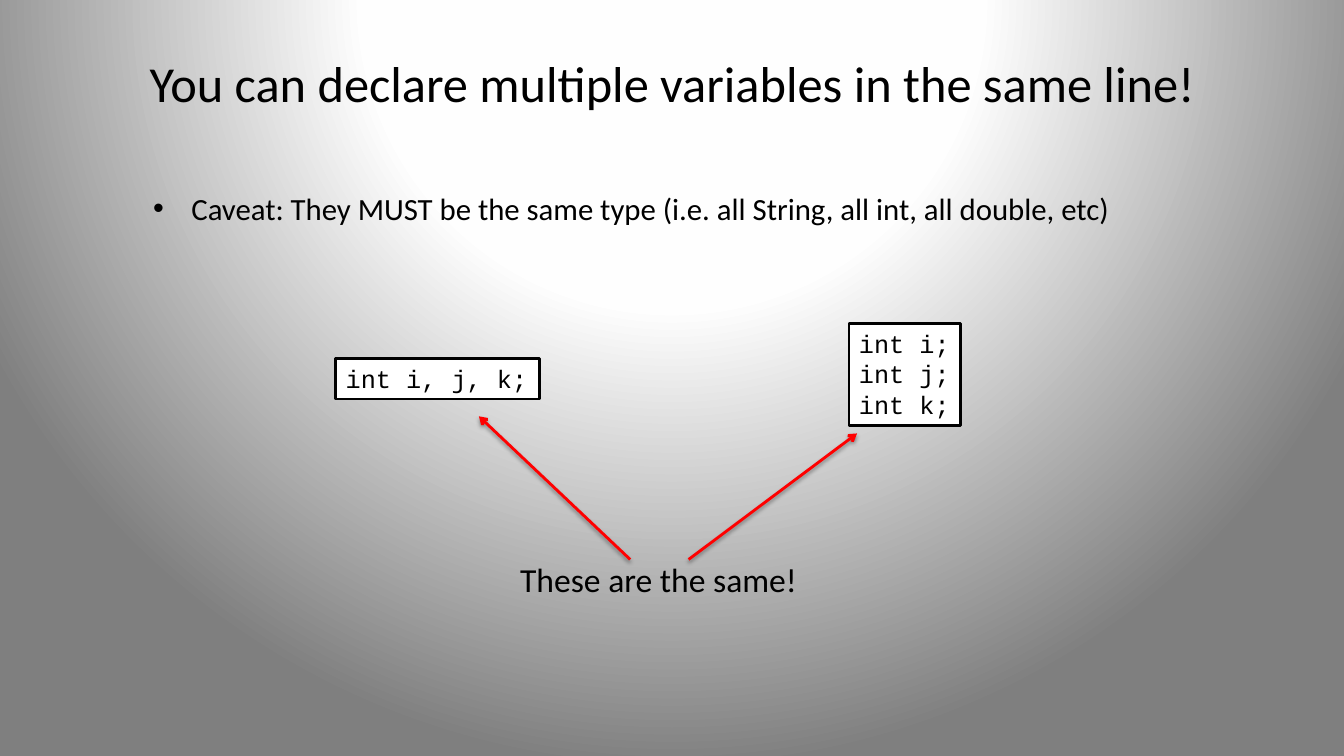
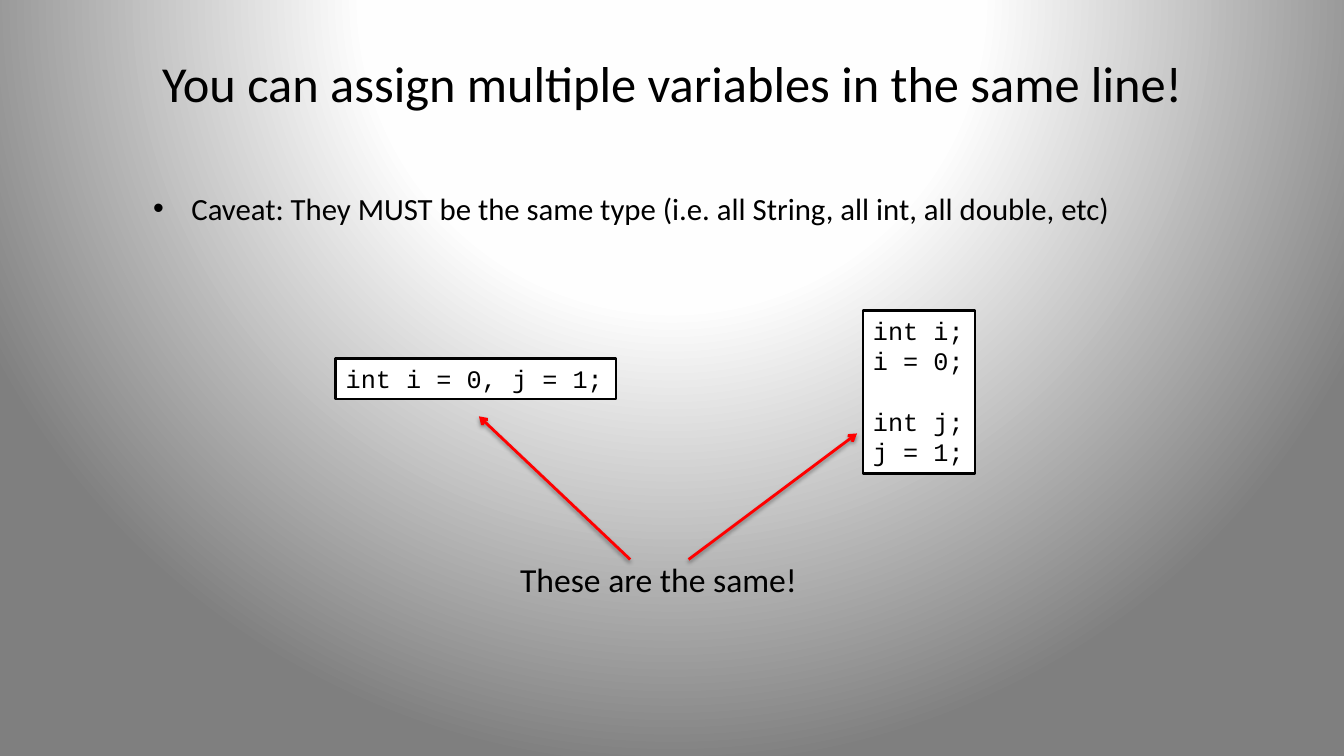
from dataclasses import dataclass

from lxml.etree import SubElement
from pptx import Presentation
from pptx.dml.color import RGBColor
from pptx.enum.shapes import MSO_CONNECTOR
from pptx.enum.text import MSO_ANCHOR, MSO_AUTO_SIZE, PP_ALIGN
from pptx.oxml import parse_xml
from pptx.oxml.ns import nsdecls, qn
from pptx.shapes.autoshape import Shape
from pptx.slide import Slide, SlideMaster
from pptx.text.text import _Paragraph as Paragraph
from pptx.util import Inches, Pt

COLORS = {
    "text": "000000",
    "code_fill": "FFFFFF",
    "code_line": "000000",
    "arrow": "FF0000",
    "shadow": "000000",
    "center": "FFFFFF",
    "middle": "FEFEFE",
    "edge": "7F7F7F",
}
BODY_FONT = "Calibri"
CODE_FONT = "Courier New"
CODE_LINE_HEIGHT = 21.8

CAVEAT = "Caveat: They MUST be the same type (i.e. all String, all int, all double, etc)"
CONCLUSION = "These are the same!"


@dataclass(frozen=True)
class Box:
    left: float
    top: float
    width: float
    height: float


@dataclass(frozen=True)
class CodeBox:
    box: Box
    groups: tuple[tuple[str, ...], ...]  # groups of lines, one line apart


@dataclass(frozen=True)
class Arrow:
    start: tuple[float, float]
    end: tuple[float, float]


@dataclass(frozen=True)
class Comparison:
    title: str
    code_boxes: tuple[CodeBox, CodeBox]


TITLE_BOX = Box(0.67, 0.3, 12, 1.03)
CAVEAT_BOX = Box(1.42, 1.83, 10.67, 0.91)
CONCLUSION_BOX = Box(5.06, 5.5, 2.98, 0.5)
ARROWS = (
    Arrow((6.25, 5.55), (4.75, 4.13)),
    Arrow((6.83, 5.55), (8.5, 4.3)),
)
COMPARISONS = (
    Comparison(
        "You can declare multiple variables in the same line!",
        (
            CodeBox(Box(3.33, 3.56, 2.02, 0.4), (("int i, j, k;",),)),
            CodeBox(Box(8.42, 3.21, 1.11, 1.01), (("int i;", "int j;", "int k;"),)),
        ),
    ),
    Comparison(
        "You can assign multiple variables in the same line!",
        (
            CodeBox(Box(3.33, 3.56, 2.78, 0.4), (("int i = 0, j = 1;",),)),
            CodeBox(Box(8.56, 3.08, 1.11, 1.62), (("int i;", "i = 0;"), ("int j;", "j = 1;"))),
        ),
    ),
)


def color(name: str) -> RGBColor:
    return RGBColor.from_string(COLORS[name])


def set_background(master: SlideMaster) -> None:
    """Give every slide a radial gradient centred above its top edge."""
    stops = "".join(
        f'<a:gs pos="{position * 1000}"><a:srgbClr val="{COLORS[name]}"/></a:gs>'
        for position, name in ((0, "center"), (40, "middle"), (100, "edge"))
    )
    background = parse_xml(
        f'<p:bg {nsdecls("p", "a")}><p:bgPr><a:gradFill rotWithShape="1">'
        f"<a:gsLst>{stops}</a:gsLst>"
        '<a:path path="circle"><a:fillToRect l="50000" t="-80000" r="50000" b="180000"/></a:path>'
        "</a:gradFill><a:effectLst/></p:bgPr></p:bg>"
    )
    common_data = master.element.find(qn("p:cSld"))
    for previous in common_data.findall(qn("p:bg")):
        common_data.remove(previous)
    common_data.insert(0, background)


def add_text_box(slide: Slide, box: Box, wrap: bool = True) -> Shape:
    shape = slide.shapes.add_textbox(
        Inches(box.left), Inches(box.top), Inches(box.width), Inches(box.height)
    )
    shape.text_frame.word_wrap = wrap
    if not wrap:
        shape.text_frame.auto_size = MSO_AUTO_SIZE.SHAPE_TO_FIT_TEXT
    return shape


def add_run(paragraph: Paragraph, text: str, size: int, font: str = BODY_FONT) -> None:
    run = paragraph.add_run()
    run.text = text
    run.font.size = Pt(size)
    run.font.name = font
    run.font.color.rgb = color("text")


def add_title(slide: Slide, text: str) -> None:
    frame = add_text_box(slide, TITLE_BOX).text_frame
    frame.vertical_anchor = MSO_ANCHOR.MIDDLE
    paragraph = frame.paragraphs[0]
    paragraph.alignment = PP_ALIGN.CENTER
    add_run(paragraph, text, 36)


def add_caveat(slide: Slide) -> None:
    paragraph = add_text_box(slide, CAVEAT_BOX).text_frame.paragraphs[0]
    paragraph.space_before = Pt(4.4)
    add_run(paragraph, CAVEAT, 22)
    # Hanging bullet
    properties = paragraph._p.get_or_add_pPr()
    properties.set("marL", str(Inches(0.38)))
    properties.set("indent", str(-Inches(0.38)))
    SubElement(properties, qn("a:buFont"), typeface="Arial")
    SubElement(properties, qn("a:buChar"), char="•")


def add_code_box(slide: Slide, code: CodeBox) -> None:
    shape = add_text_box(slide, code.box, wrap=False)
    shape.fill.solid()
    shape.fill.fore_color.rgb = color("code_fill")
    shape.line.color.rgb = color("code_line")
    shape.line.width = Pt(2)
    frame = shape.text_frame
    for group_index, group in enumerate(code.groups):
        for line_index, line in enumerate(group):
            first = group_index == line_index == 0
            paragraph = frame.paragraphs[0] if first else frame.add_paragraph()
            if group_index > 0 and line_index == 0:
                paragraph.space_before = Pt(CODE_LINE_HEIGHT)
            add_run(paragraph, line, 18, CODE_FONT)


def add_arrow(slide: Slide, arrow: Arrow) -> None:
    points = (Inches(value) for value in arrow.start + arrow.end)
    connector = slide.shapes.add_connector(MSO_CONNECTOR.STRAIGHT, *points)
    connector.line.color.rgb = color("arrow")
    connector.line.width = Pt(2)
    SubElement(connector.line._get_or_add_ln(), qn("a:tailEnd"), type="arrow")
    # Soft shadow straight below
    effects = SubElement(connector._element.spPr, qn("a:effectLst"))
    shadow = SubElement(
        effects, qn("a:outerShdw"), blurRad=str(Pt(3.1)), dist=str(Pt(1.6)),
        dir=str(90 * 60000), rotWithShape="0",
    )
    shade = SubElement(shadow, qn("a:srgbClr"), val=COLORS["shadow"])
    SubElement(shade, qn("a:alpha"), val="38000")


def add_comparison(slide: Slide, comparison: Comparison) -> None:
    add_title(slide, comparison.title)
    add_caveat(slide)
    for code in comparison.code_boxes:
        add_code_box(slide, code)
    conclusion = add_text_box(slide, CONCLUSION_BOX, wrap=False)
    add_run(conclusion.text_frame.paragraphs[0], CONCLUSION, 24)
    for arrow in ARROWS:
        add_arrow(slide, arrow)


def main() -> None:
    presentation = Presentation()
    presentation.slide_width = Inches(13.33)
    presentation.slide_height = Inches(7.5)
    set_background(presentation.slide_master)
    blank_layout = presentation.slide_layouts[6]
    for comparison in COMPARISONS:
        add_comparison(presentation.slides.add_slide(blank_layout), comparison)
    presentation.save("out.pptx")


if __name__ == "__main__":
    main()
